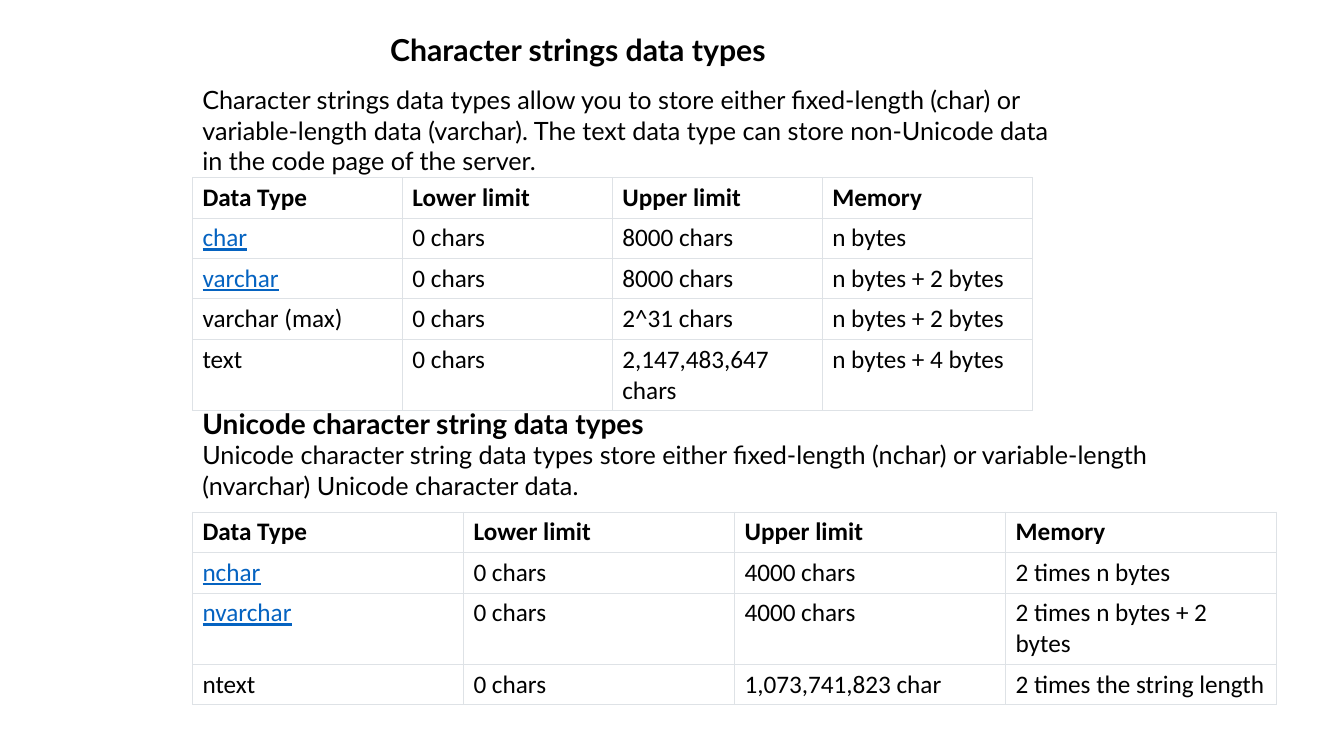
from dataclasses import dataclass

from lxml.etree import SubElement
from pptx import Presentation
from pptx.dml.color import RGBColor
from pptx.enum.text import MSO_ANCHOR as Anchor
from pptx.oxml.ns import qn
from pptx.util import Cm, Pt

BLACK = RGBColor(0x00, 0x00, 0x00)
WHITE = RGBColor(0xFF, 0xFF, 0xFF)
LINK_BLUE = RGBColor(0x05, 0x63, 0xC1)
BORDER_GREY = RGBColor(0xDE, 0xE2, 0xE6)

LEFT = 4.85
ROW_HEIGHT, TALL_ROW_HEIGHT = 1.02, 1.8
HEADER = ("Data Type", "Lower limit", "Upper limit", "Memory")
LINKED_TYPES = {"char", "varchar", "nchar", "nvarchar"}


@dataclass
class TypeTable:
    top: float
    col_width: float
    tall_row: int
    rows: list[tuple[str, ...]]


@dataclass
class Line:
    text: str
    size: float = 18
    bold: bool = False


TABLES = [
    TypeTable(4.47, 5.29, 4, [
        HEADER,
        ("char", "0 chars", "8000 chars", "n bytes"),
        ("varchar", "0 chars", "8000 chars", "n bytes + 2 bytes"),
        ("varchar (max)", "0 chars", "2^31 chars", "n bytes + 2 bytes"),
        ("text", "0 chars", "2,147,483,647 chars", "n bytes + 4 bytes"),
    ]),
    TypeTable(12.9, 6.83, 2, [
        HEADER,
        ("nchar", "0 chars", "4000 chars", "2 times n bytes"),
        ("nvarchar", "0 chars", "4000 chars", "2 times n bytes + 2 bytes"),
        ("ntext", "0 chars", "1,073,741,823 char", "2 times the string length"),
    ]),
]


def add_run(p, text: str, *, font: str = "Lato", size: float = 18, bold: bool = False,
            color: RGBColor = BLACK, underline: bool = False) -> None:
    r = p.add_run()
    r.text = text
    r.font.name, r.font.size = font, Pt(size)
    r.font.bold, r.font.underline = bold, underline
    r.font.color.rgb = color


def add_text(slide, left: float, top: float, width: float, height: float,
             lines: list[Line], anchor: Anchor = Anchor.TOP) -> None:
    tf = slide.shapes.add_textbox(Cm(left), Cm(top), Cm(width), Cm(height)).text_frame
    tf.word_wrap, tf.vertical_anchor = True, anchor
    for i, line in enumerate(lines):
        p = tf.add_paragraph() if i else tf.paragraphs[0]
        add_run(p, line.text, size=line.size, bold=line.bold)


def set_borders(cell) -> None:
    tc_pr = cell._tc.get_or_add_tcPr()
    for side in ("a:lnL", "a:lnR", "a:lnT", "a:lnB"):
        ln = SubElement(tc_pr, qn(side), w=str(Pt(0.6)))
        fill = SubElement(ln, qn("a:solidFill"))
        SubElement(fill, qn("a:srgbClr"), val=str(BORDER_GREY))


def add_type_table(slide, spec: TypeTable) -> None:
    n_rows, n_cols = len(spec.rows), len(HEADER)
    height = ROW_HEIGHT * (n_rows - 1) + TALL_ROW_HEIGHT
    table = slide.shapes.add_table(n_rows, n_cols, Cm(LEFT), Cm(spec.top),
                                   Cm(spec.col_width * n_cols), Cm(height)).table
    table.first_row = table.horz_banding = False
    for col in table.columns:
        col.width = Cm(spec.col_width)
    for i, values in enumerate(spec.rows):
        table.rows[i].height = Cm(TALL_ROW_HEIGHT if i == spec.tall_row else ROW_HEIGHT)
        for j, value in enumerate(values):
            cell = table.cell(i, j)
            linked = value in LINKED_TYPES
            add_run(cell.text_frame.paragraphs[0], value, font="Calibri", bold=i == 0,
                    color=LINK_BLUE if linked else BLACK, underline=linked)
            set_borders(cell)
            cell.fill.solid()
            cell.fill.fore_color.rgb = WHITE


def main() -> None:
    prs = Presentation()
    prs.slide_width, prs.slide_height = Cm(33.87), Cm(19.05)
    slide = prs.slides.add_slide(prs.slide_layouts[6])
    char_table, unicode_table = TABLES

    # Character strings
    add_text(slide, 9.58, 0.46, 11.7, 1.57,
             [Line("Character strings data types", 21.6, True)], Anchor.MIDDLE)
    add_text(slide, LEFT, 2.01, 22.05, 2.57, [
        Line("Character strings data types allow you to store either fixed-length (char) or "
             "variable-length data (varchar). The text data type can store non-Unicode data "
             "in the code page of the server."),
    ])
    add_type_table(slide, char_table)

    # Unicode character strings
    add_text(slide, LEFT, 10.11, 24.38, 2.64, [
        Line("Unicode character string data types", 20, True),
        Line("Unicode character string data types store either fixed-length (nchar) or "
             "variable-length (nvarchar) Unicode character data."),
    ])
    add_type_table(slide, unicode_table)

    prs.save("out.pptx")


if __name__ == "__main__":
    main()
